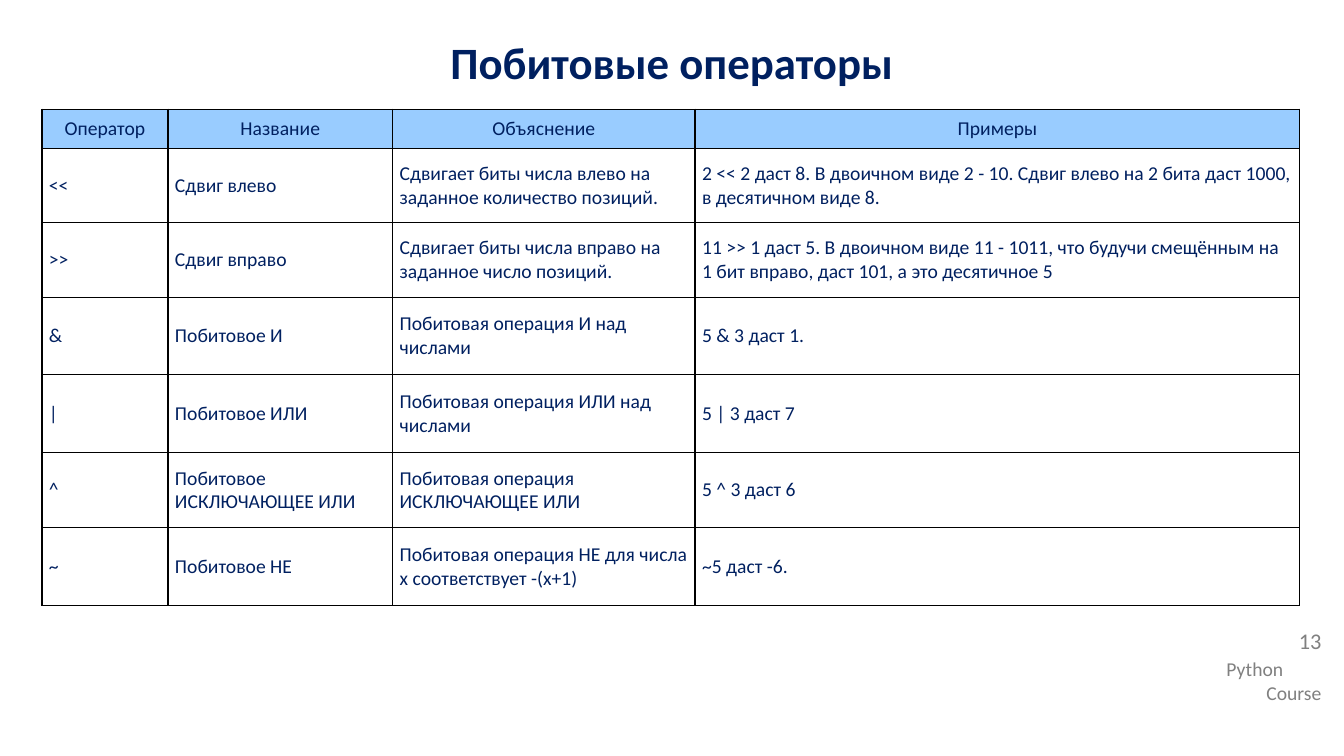
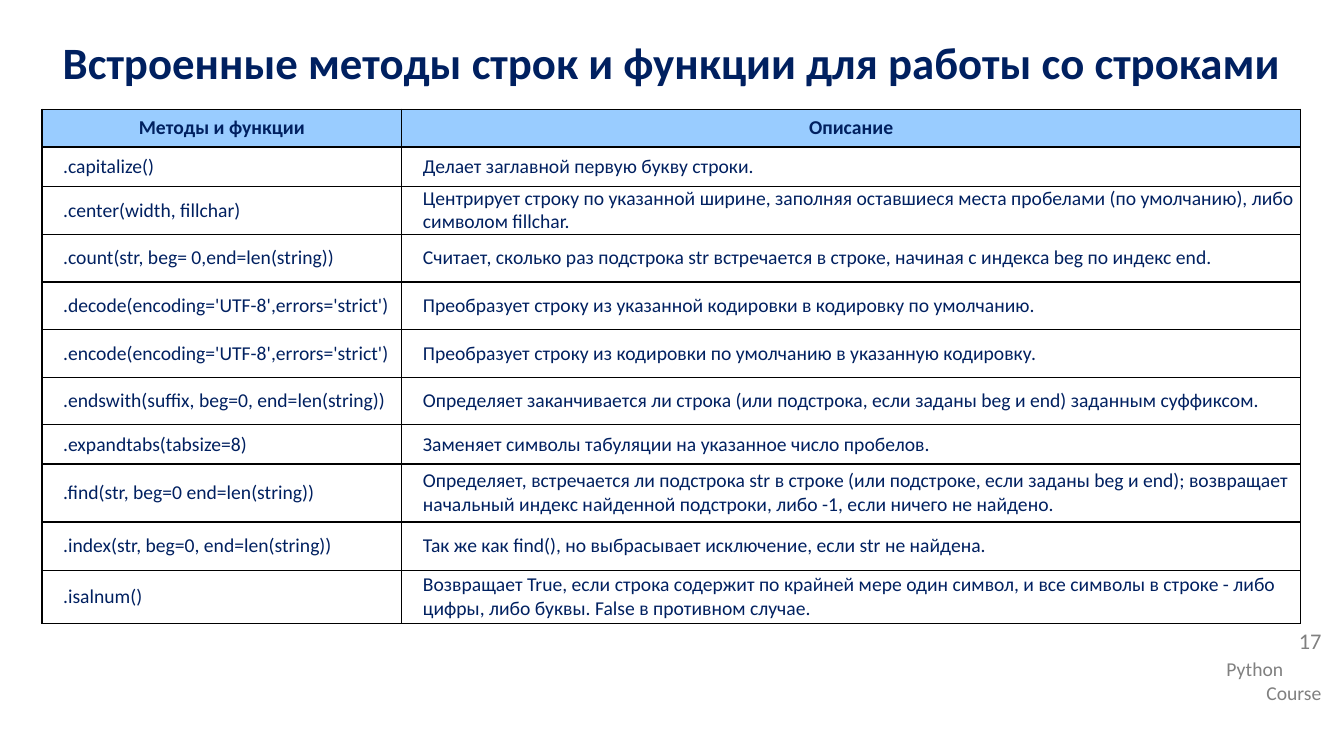
from dataclasses import dataclass

from lxml.etree import SubElement
from pptx import Presentation
from pptx.dml.color import RGBColor
from pptx.enum.text import MSO_ANCHOR, MSO_AUTO_SIZE, PP_ALIGN
from pptx.oxml.ns import qn
from pptx.util import Pt


@dataclass(frozen=True)
class Theme:
    font: str = "Calibri"
    ink: RGBColor = RGBColor(0x00, 0x20, 0x60)
    muted: RGBColor = RGBColor(0x80, 0x80, 0x80)
    header_fill: RGBColor = RGBColor(0x99, 0xCC, 0xFF)
    cell_fill: RGBColor = RGBColor(0xFF, 0xFF, 0xFF)
    border: str = "000000"
    border_width: int = Pt(1)
    title_size: int = Pt(32)
    number_size: int = Pt(16)
    text_size: int = Pt(14)


@dataclass(frozen=True)
class Box:
    left: float
    top: float
    width: float
    height: float

    @property
    def lengths(self):
        return Pt(self.left), Pt(self.top), Pt(self.width), Pt(self.height)


@dataclass(frozen=True)
class TableStyle:
    columns: tuple
    rows: tuple
    side_margin: float
    indent: float
    bold_header: bool


THEME = Theme()
SLIDE_SIZE = Pt(960), Pt(540)
TITLE_BOX = Box(0, 16.5, 960, 54.5)
FOOTER_BOX = Box(869, 446.5, 82, 60)
TABLE_LEFT, TABLE_TOP = 30, 78

OPERATORS_STYLE = TableStyle(
    columns=(90, 160.5, 216, 432),
    rows=(28, 53, 53.5, 55, 56, 53.5, 55.5),
    side_margin=5, indent=0, bold_header=False,
)
OPERATORS = [
    ("Оператор", "Название", "Объяснение", "Примеры"),
    ("<<", "Сдвиг влево",
     "Сдвигает биты числа влево на заданное количество позиций.",
     "2 << 2 даст 8. В двоичном виде 2 - 10. Сдвиг влево на 2 бита даст 1000, "
     "в десятичном виде 8."),
    (">>", "Сдвиг вправо",
     "Сдвигает биты числа вправо на заданное число позиций.",
     "11 >> 1 даст 5. В двоичном виде 11 - 1011, что будучи смещённым на "
     "1 бит вправо, даст 101, а это десятичное 5"),
    ("&", "Побитовое И", "Побитовая операция И над числами", "5 & 3 даст 1."),
    ("|", "Побитовое ИЛИ", "Побитовая операция ИЛИ над числами", "5 | 3 даст 7"),
    ("^", "Побитовое ИСКЛЮЧАЮЩЕЕ ИЛИ",
     "Побитовая операция ИСКЛЮЧАЮЩЕЕ ИЛИ", "5 ^ 3 даст 6"),
    ("~", "Побитовое НЕ",
     "Побитовая операция НЕ для числа x соответствует -(x+1)", "~5 даст -6."),
]

METHODS_STYLE = TableStyle(
    columns=(257, 642),
    rows=(27, 28, 34.5, 34, 34, 34, 34, 28, 41.5, 34.5, 38),
    side_margin=0.7, indent=14.4, bold_header=True,
)
METHODS = [
    ("Методы и функции", "Описание"),
    (".capitalize()", "Делает заглавной первую букву строки."),
    (".center(width, fillchar)",
     "Центрирует строку по указанной ширине, заполняя оставшиеся места "
     "пробелами (по умолчанию), либо символом fillchar."),
    (".count(str, beg= 0,end=len(string))",
     "Считает, сколько раз подстрока str встречается в строке, начиная с "
     "индекса beg по индекс end."),
    (".decode(encoding='UTF-8',errors='strict')",
     "Преобразует строку из указанной кодировки в кодировку по умолчанию."),
    (".encode(encoding='UTF-8',errors='strict')",
     "Преобразует строку из кодировки по умолчанию в указанную кодировку."),
    (".endswith(suffix, beg=0, end=len(string))",
     "Определяет заканчивается ли строка (или подстрока, если заданы beg и "
     "end) заданным суффиксом."),
    (".expandtabs(tabsize=8)",
     "Заменяет символы табуляции на указанное число пробелов."),
    (".find(str, beg=0 end=len(string))",
     "Определяет, встречается ли подстрока str в строке (или подстроке, если "
     "заданы beg и end); возвращает начальный индекс найденной подстроки, "
     "либо -1, если ничего не найдено."),
    (".index(str, beg=0, end=len(string))",
     "Так же как find(), но выбрасывает исключение, если str не найдена."),
    (".isalnum()",
     "Возвращает True, если строка содержит по крайней мере один символ, и "
     "все символы в строке - либо цифры, либо буквы. False в противном случае."),
]


def format_paragraph(paragraph, size, color, alignment=PP_ALIGN.LEFT, bold=False):
    paragraph.alignment = alignment
    for run in paragraph.runs:
        run.font.name = THEME.font
        run.font.size = size
        run.font.color.rgb = color
        run.font.bold = bold


def add_title(slide, box, text):
    title = slide.shapes.title
    title.left, title.top, title.width, title.height = box.lengths
    text_frame = title.text_frame
    text_frame.text = text
    text_frame.auto_size = MSO_AUTO_SIZE.NONE
    text_frame.vertical_anchor = MSO_ANCHOR.MIDDLE
    paragraph = text_frame.paragraphs[0]
    paragraph.space_before = paragraph.space_after = Pt(5)
    format_paragraph(paragraph, THEME.title_size, THEME.ink, PP_ALIGN.CENTER, True)


def add_text(slide, box, text):
    text_frame = slide.shapes.add_textbox(*box.lengths).text_frame
    text_frame.word_wrap = True
    text_frame.text = text
    return text_frame.paragraphs


def add_footer(slide, box, number):
    # Course name on two lines
    name_box = Box(box.left, box.top + 19.5, box.width, 41)
    first, second = add_text(slide, name_box, "Python\nCourse")
    format_paragraph(first, THEME.text_size, THEME.muted)
    format_paragraph(second, THEME.text_size, THEME.muted, PP_ALIGN.RIGHT)

    # Slide number
    number_box = Box(box.left, box.top, box.width, 32.5)
    paragraph = add_text(slide, number_box, str(number))[0]
    paragraph.line_spacing = 0.9
    paragraph.space_before = Pt(10)
    format_paragraph(paragraph, THEME.number_size, THEME.muted, PP_ALIGN.RIGHT)


def add_borders(cell):
    properties = cell._tc.get_or_add_tcPr()
    for side in ("lnL", "lnR", "lnT", "lnB"):
        line = SubElement(properties, qn(f"a:{side}"), w=str(THEME.border_width))
        fill = SubElement(line, qn("a:solidFill"))
        SubElement(fill, qn("a:srgbClr"), val=THEME.border)


def fill_cell(cell, text, style, is_header):
    add_borders(cell)
    cell.fill.solid()
    cell.fill.fore_color.rgb = THEME.header_fill if is_header else THEME.cell_fill
    cell.vertical_anchor = MSO_ANCHOR.MIDDLE
    cell.margin_left = cell.margin_right = Pt(style.side_margin)
    cell.margin_top = cell.margin_bottom = 0
    cell.text_frame.text = text
    paragraph = cell.text_frame.paragraphs[0]
    if is_header:
        format_paragraph(paragraph, THEME.text_size, THEME.ink,
                         PP_ALIGN.CENTER, style.bold_header)
    else:
        format_paragraph(paragraph, THEME.text_size, THEME.ink)
        paragraph._p.get_or_add_pPr().set("marL", str(Pt(style.indent)))


def add_grid(slide, box, style, content):
    table = slide.shapes.add_table(
        len(style.rows), len(style.columns), *box.lengths).table
    table.horz_banding = False
    for column, width in zip(table.columns, style.columns):
        column.width = Pt(width)
    for row_index, (row, height) in enumerate(zip(table.rows, style.rows)):
        row.height = Pt(height)
        for cell, text in zip(row.cells, content[row_index]):
            fill_cell(cell, text, style, is_header=row_index == 0)


def add_table_slide(presentation, number, title, style, content):
    slide = presentation.slides.add_slide(presentation.slide_layouts[5])
    add_footer(slide, FOOTER_BOX, number)
    add_title(slide, TITLE_BOX, title)
    table_box = Box(TABLE_LEFT, TABLE_TOP, sum(style.columns), sum(style.rows))
    add_grid(slide, table_box, style, content)


def main():
    presentation = Presentation()
    presentation.slide_width, presentation.slide_height = SLIDE_SIZE
    add_table_slide(presentation, 13, "Побитовые операторы",
                    OPERATORS_STYLE, OPERATORS)
    add_table_slide(presentation, 17,
                    "Встроенные методы строк и функции для работы со строками",
                    METHODS_STYLE, METHODS)
    presentation.save("out.pptx")


if __name__ == "__main__":
    main()
